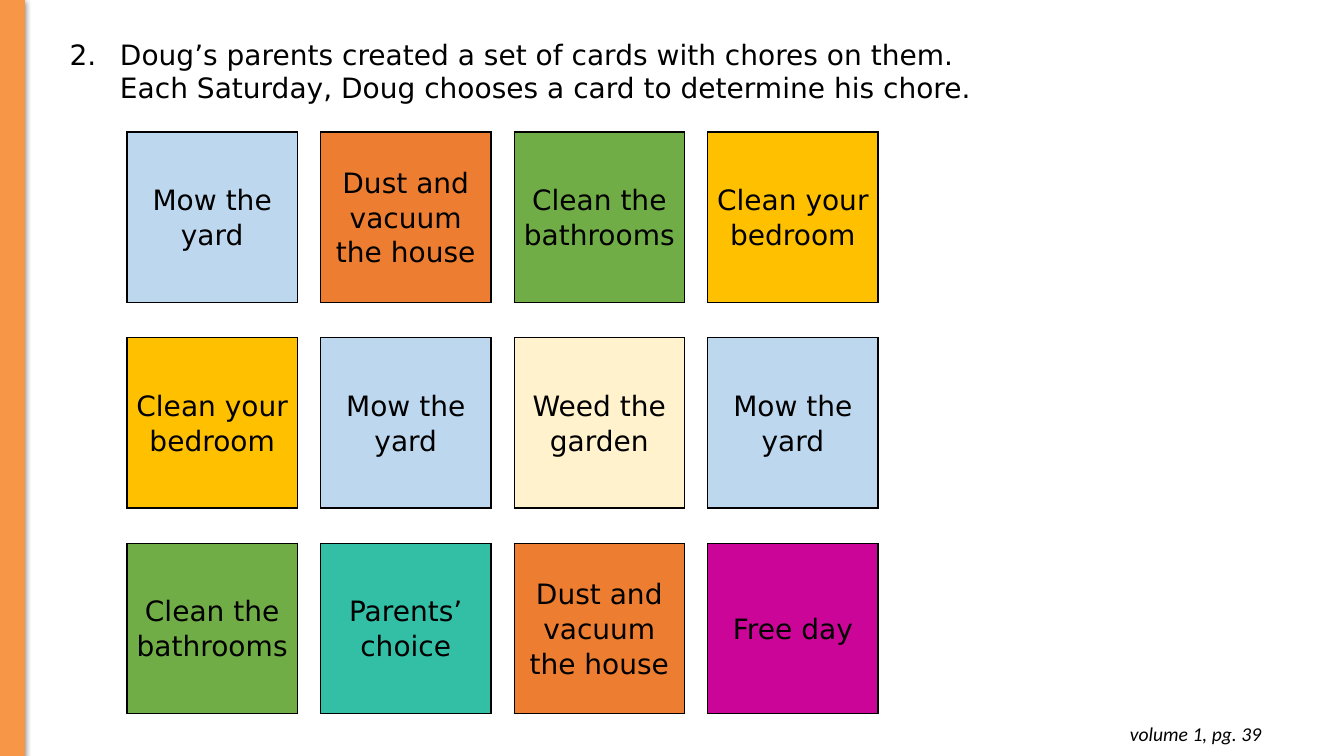
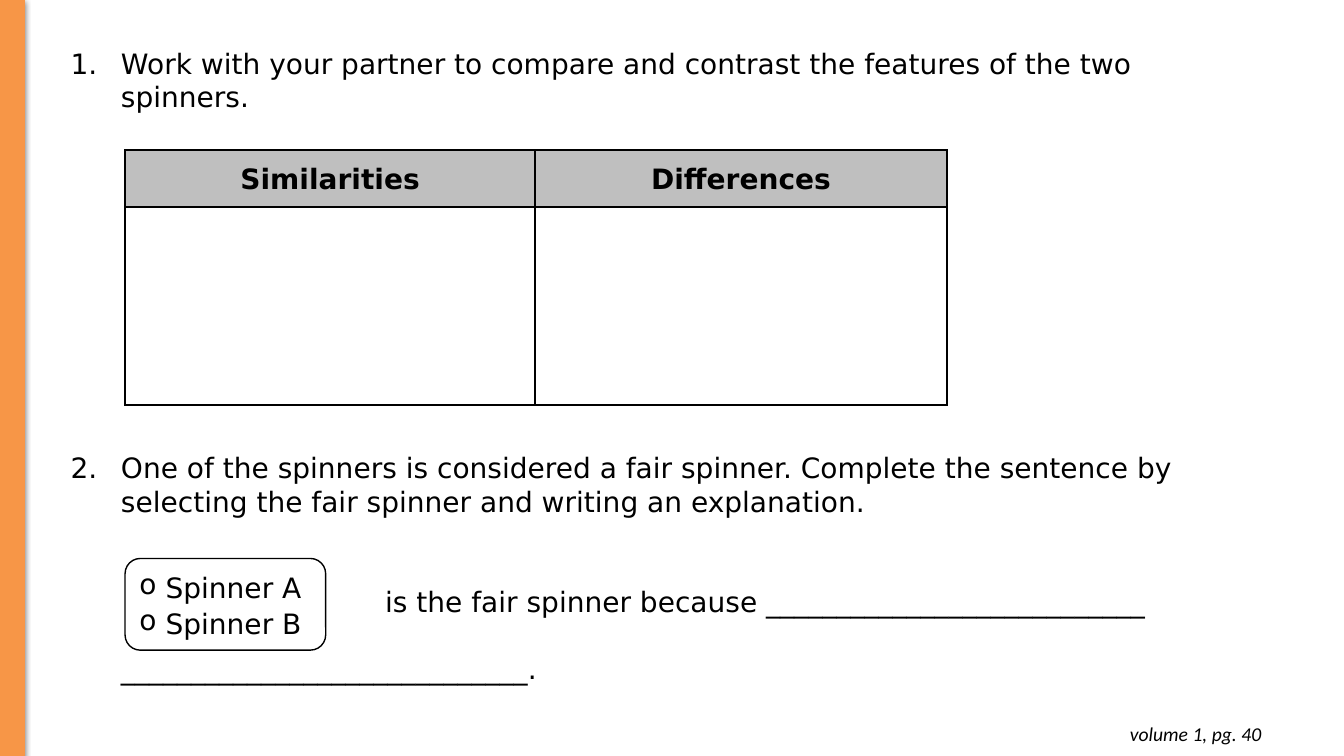
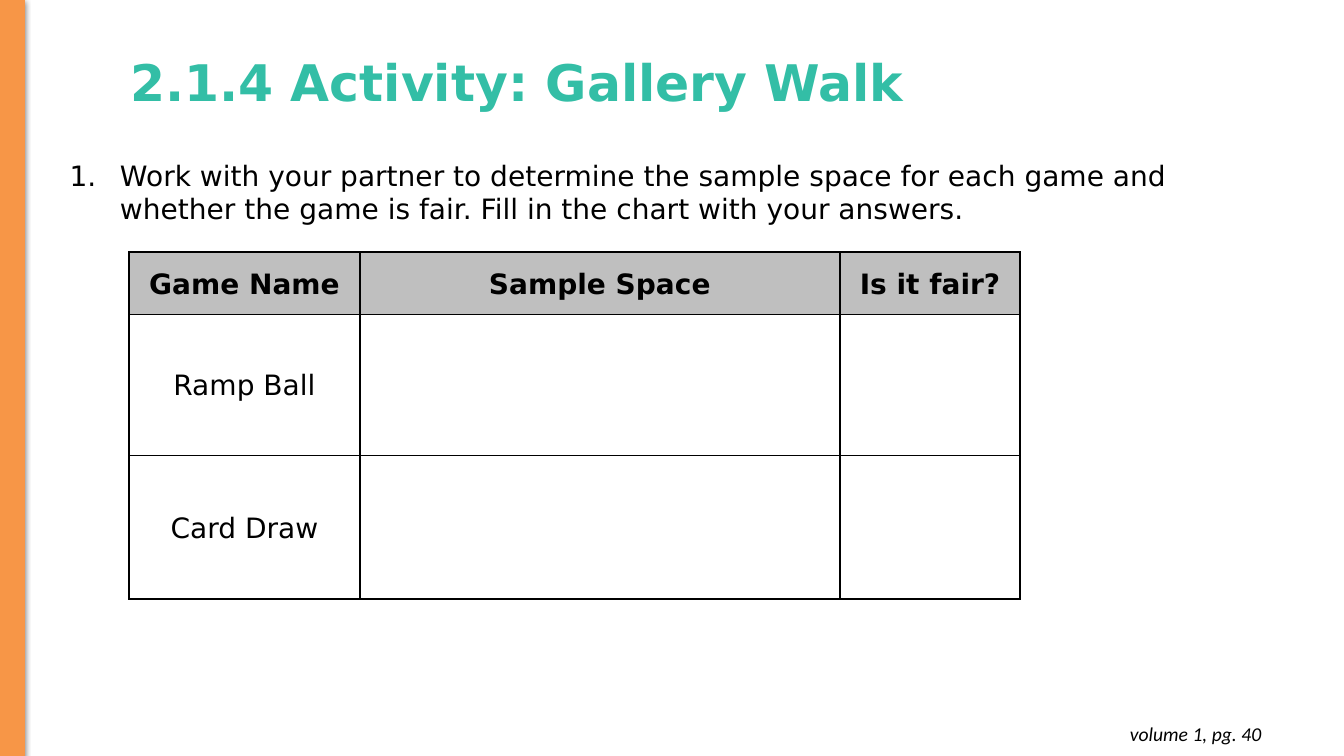
from lxml.etree import SubElement
from pptx import Presentation
from pptx.dml.color import RGBColor
from pptx.enum.shapes import MSO_SHAPE
from pptx.enum.text import MSO_ANCHOR, MSO_AUTO_SIZE, PP_ALIGN
from pptx.oxml.ns import qn
from pptx.util import Inches, Pt

BODY_FONT = "DejaVu Sans"
THEME = {
    "ink": "000000", "band": "F79647", "teal": "33BEA6", "header": "BFBFBF",
    "body": {"name": BODY_FONT, "size": Pt(20), "bold": False},
    "head": {"name": BODY_FONT, "size": Pt(20), "bold": True},
    "title": {"name": BODY_FONT, "size": Pt(36), "bold": True},
    "footer": {"name": "Calibri", "size": Pt(14), "italic": True},
}
NO_TABLE_STYLE = "{2D5ABB26-0587-4C30-8999-92F81FD0307C}"
WIDTH, HEIGHT = 13.33, 7.5
HANG = 0.5

CHORES = {
    "Mow the yard": "BDD7EE", "Dust and vacuum the house": "ED7D31",
    "Clean the bathrooms": "70AD47", "Clean your bedroom": "FFC000",
    "Weed the garden": "FFF2CC", "Parents’ choice": THEME["teal"], "Free day": "CB0597",
}
CARDS = [
    ["Mow the yard", "Dust and vacuum the house", "Clean the bathrooms", "Clean your bedroom"],
    ["Clean your bedroom", "Mow the yard", "Weed the garden", "Mow the yard"],
    ["Clean the bathrooms", "Parents’ choice", "Dust and vacuum the house", "Free day"],
]
CHORE_QUESTION = ("Doug’s parents created a set of cards with chores on them. "
                  "Each Saturday, Doug chooses a card to determine his chore.")
SPINNER_QUESTIONS = [
    "Work with your partner to compare and contrast the features of the two spinners.",
    "One of the spinners is considered a fair spinner. Complete the sentence by "
    "selecting the fair spinner and writing an explanation.",
]
FAIR_SENTENCE = ["is the fair spinner because " + "_" * 27, "_" * 29 + "."]
SPINNERS = ["Spinner A", "Spinner B"]
SPINNER_TABLE = [["Similarities", "Differences"], ["", ""]]
GALLERY_TITLE = "2.1.4 Activity: Gallery Walk"
GALLERY_QUESTION = ("Work with your partner to determine the sample space for each game and "
                    "whether the game is fair. Fill in the chart with your answers.")
GALLERY_TABLE = [["Game Name", "Sample Space", "Is it fair?"],
                 ["Ramp Ball", "", ""], ["Card Draw", "", ""]]


def rgb(name):
    return RGBColor.from_string(THEME.get(name, name))


def place(shape, *box):
    for name, value in zip(("left", "top", "width", "height"), box):
        setattr(shape, name, Inches(value))


def write(p, text, style="body", color="ink", **fmt):
    """Add one styled run; fmt holds paragraph attributes."""
    for name, value in fmt.items():
        setattr(p, name, value)
    r = p.add_run()
    r.text = text
    for name, value in THEME[style].items():
        setattr(r.font, name, value)
    r.font.color.rgb = rgb(color)


def indent(p, left, first, bullet, **attrs):
    pPr = p._p.get_or_add_pPr()
    pPr.set("marL", str(Inches(left)))
    pPr.set("indent", str(Inches(first)))
    SubElement(pPr, qn("a:" + bullet), attrs)


def paragraphs(tf, count):
    return [tf.paragraphs[0]] + [tf.add_paragraph() for _ in range(count - 1)]


def add_band(s):
    band = s.shapes.add_shape(MSO_SHAPE.RECTANGLE, 0, 0, Inches(0.24), Inches(HEIGHT))
    band.fill.solid()
    band.fill.fore_color.rgb = band.line.color.rgb = rgb("band")
    band.line.width = Pt(0.75)
    band.shadow.inherit = False
    effects = band._element.spPr.find(qn("a:effectLst"))
    shadow = SubElement(effects, qn("a:outerShdw"), blurRad=str(Pt(4.5)), dist=str(Pt(1.5)),
                        dir="5400000", rotWithShape="0")
    color = SubElement(shadow, qn("a:srgbClr"), val=THEME["ink"])
    SubElement(color, qn("a:alpha"), val="50000")


def add_footer(s, page):
    tf = s.shapes.add_textbox(*map(Inches, (9.73, 7.06, 2.88, 0.44))).text_frame
    tf.word_wrap = True
    tf.margin_top = tf.margin_bottom = Inches(0.1)
    write(tf.paragraphs[0], f"volume 1, pg. {page}", "footer", alignment=PP_ALIGN.RIGHT)


def new_slide(prs, page, box, questions, title=None, start=1, gap=0):
    """Add a slide with band, footer and numbered questions; return it with the body text frame."""
    s = prs.slides.add_slide(prs.slide_layouts[1])
    add_band(s)
    add_footer(s, page)
    heading, body = s.shapes.title, s.placeholders[1]
    if title:
        place(heading, 1.19, 0.12, 8.77, 1.45)
        heading.text_frame.auto_size = MSO_AUTO_SIZE.NONE
        write(heading.text_frame.paragraphs[0], title, "title", "teal",
              alignment=PP_ALIGN.LEFT, line_spacing=0.9)
    else:
        heading._element.getparent().remove(heading._element)
    place(body, *box)
    tf = body.text_frame
    tf.auto_size = MSO_AUTO_SIZE.NONE
    for i, (p, text) in enumerate(zip(paragraphs(tf, len(questions)), questions)):
        indent(p, HANG, -HANG, "buAutoNum", type="arabicPeriod", startAt=str(start))
        write(p, text, space_before=Pt(gap if i else 0))
    return s, tf


def add_border(cell, side, width):
    ln = SubElement(cell._tc.get_or_add_tcPr(), qn("a:ln" + side), w=str(Pt(width)))
    SubElement(SubElement(ln, qn("a:solidFill")), qn("a:srgbClr"), val=THEME["ink"])


def add_grid(s, left, top, cols, rows, cells, border):
    """Draw a table; cells maps (row, column) to (text, style, fill), missing ones are open gaps."""
    frame = s.shapes.add_table(len(rows), len(cols), *map(Inches, (left, top, sum(cols), sum(rows))))
    table = frame.table
    table.first_row = table.horz_banding = False
    table._tbl.tblPr.find(qn("a:tableStyleId")).text = NO_TABLE_STYLE
    for col, width in zip(table.columns, cols):
        col.width = Inches(width)
    for r, height in enumerate(rows):
        table.rows[r].height = Inches(height)
        for c in range(len(cols)):
            cell = table.cell(r, c)
            cell.margin_left = cell.margin_right = Inches(0.07)
            cell.margin_top = cell.margin_bottom = 0
            cell.vertical_anchor = MSO_ANCHOR.MIDDLE
            neighbours = {"L": (r, c - 1), "R": (r, c + 1), "T": (r - 1, c), "B": (r + 1, c)}
            for side, neighbour in neighbours.items():
                if (r, c) in cells or neighbour in cells:
                    add_border(cell, side, border)
            text, style, fill = cells.get((r, c), ("", "body", None))
            if fill:
                cell.fill.solid()
                cell.fill.fore_color.rgb = rgb(fill)
            else:
                cell.fill.background()
            if text:
                write(cell.text_frame.paragraphs[0], text, style,
                      alignment=PP_ALIGN.CENTER, line_spacing=1.07)


def headed_cells(content):
    return {(r, c): (text, "body", None) if r else (text, "head", "header")
            for r, row in enumerate(content) for c, text in enumerate(row)}


def spaced(size, gap, count):
    return ([size, gap] * count)[:-1]


def chore_slide(prs):
    s, _ = new_slide(prs, 39, (0.59, 0.32, 9.3, 0.77), [CHORE_QUESTION], start=2)
    cells = {(2 * r, 2 * c): (chore, "body", CHORES[chore])
             for r, row in enumerate(CARDS) for c, chore in enumerate(row)}
    add_grid(s, 1.26, 1.31, spaced(1.69, 0.23, 4), spaced(1.69, 0.35, 3), cells, 1)


def spinner_slide(prs):
    s, tf = new_slide(prs, 40, (0.6, 0.41, 11.81, 6.5), SPINNER_QUESTIONS, gap=241)
    for text, first, gap in zip(FAIR_SENTENCE, (2.62, 0), (47, 24)):
        p = tf.add_paragraph()
        indent(p, HANG, first, "buNone")
        write(p, text, space_before=Pt(gap))
    add_grid(s, 1.24, 1.49, [4.07, 4.08], [0.56, 1.97], headed_cells(SPINNER_TABLE), 1.5)
    choice = s.shapes.add_shape(MSO_SHAPE.ROUNDED_RECTANGLE, *map(Inches, (1.24, 5.54, 1.99, 0.91)))
    choice.shadow.inherit = False
    choice.fill.background()
    choice.line.color.rgb = rgb("ink")
    choice.line.width = Pt(1)
    for p, text in zip(paragraphs(choice.text_frame, len(SPINNERS)), SPINNERS):
        indent(p, 0.26, -0.32, "buChar", char="o")
        write(p, text, alignment=PP_ALIGN.LEFT, line_spacing=1.07)


def gallery_slide(prs):
    s, _ = new_slide(prs, 40, (0.59, 1.52, 11.81, 1.11), [GALLERY_QUESTION], GALLERY_TITLE)
    add_grid(s, 1.28, 2.5, [2.29, 4.76, 1.79], [0.62, 1.4, 1.42], headed_cells(GALLERY_TABLE), 1.5)


def main():
    prs = Presentation()
    prs.slide_width, prs.slide_height = Inches(WIDTH), Inches(HEIGHT)
    for build in (chore_slide, spinner_slide, gallery_slide):
        build(prs)
    prs.save("out.pptx")


if __name__ == "__main__":
    main()
